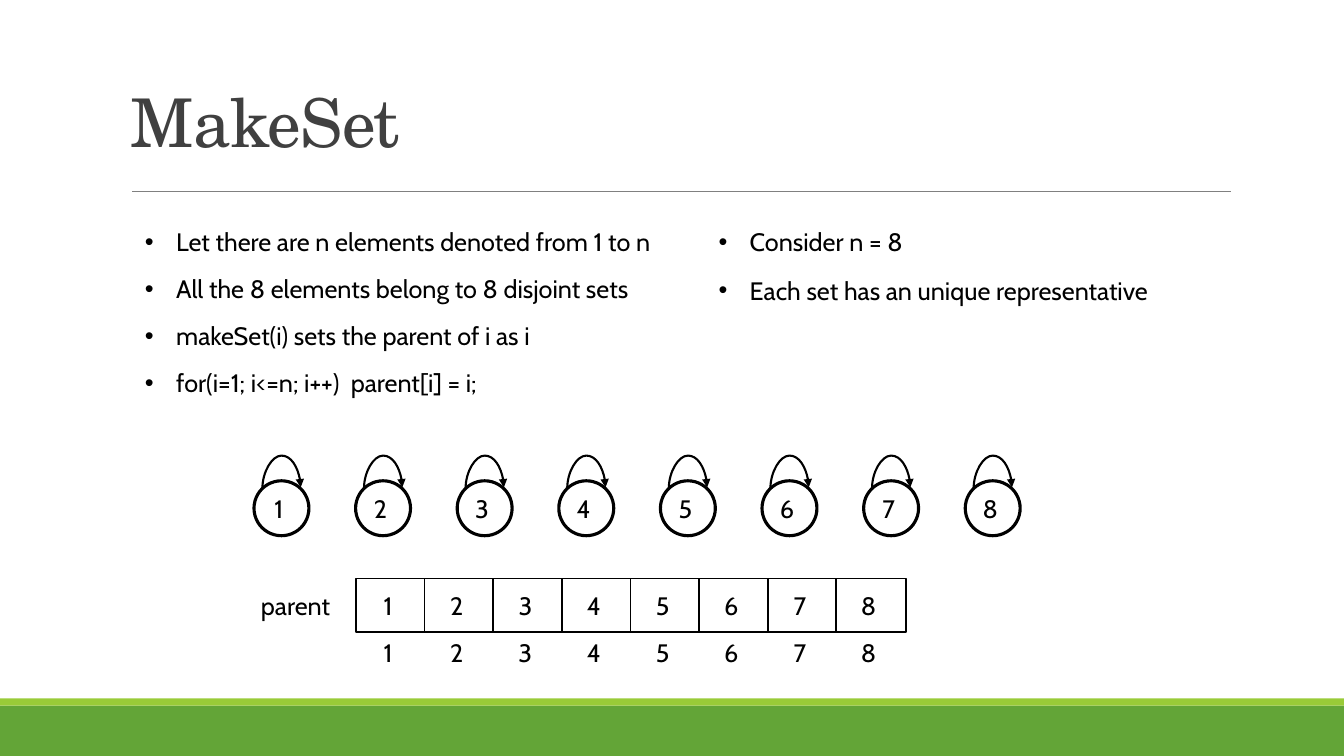
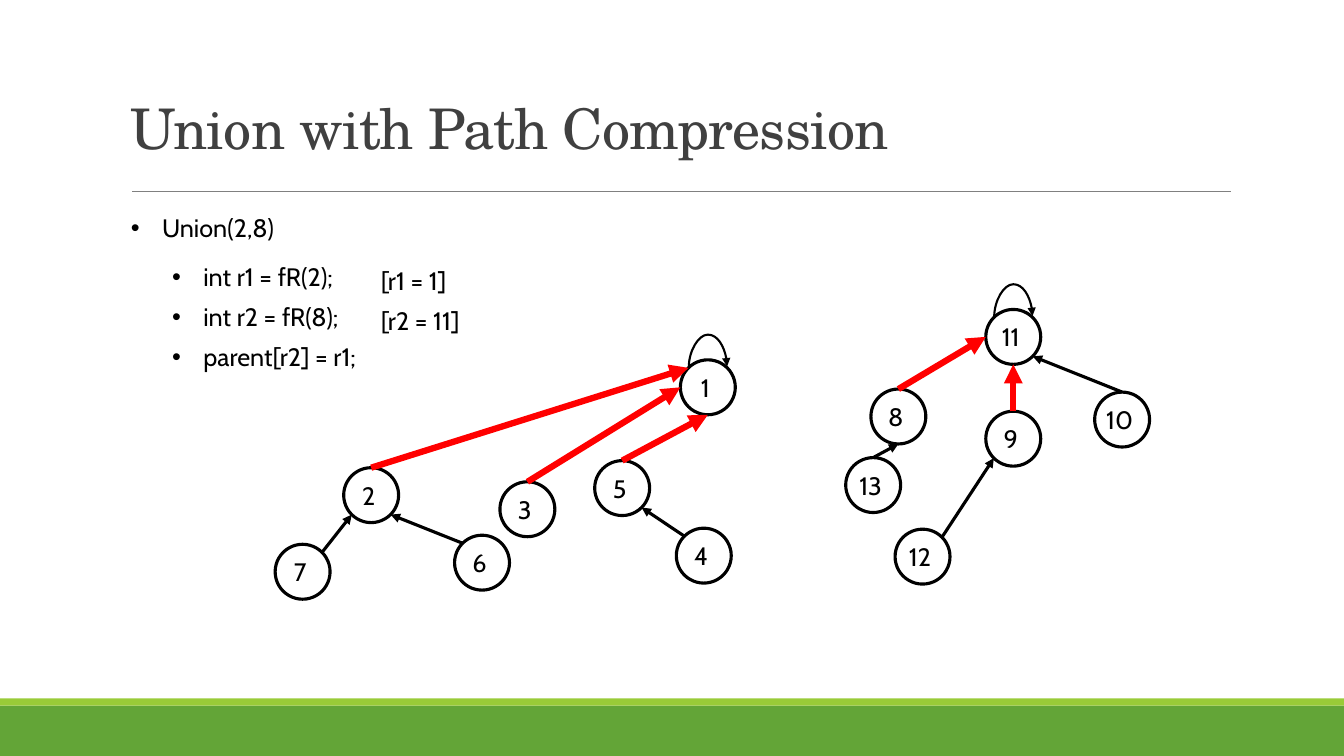
"""Builds two slides on disjoint sets: MakeSet and union with path compression."""
from typing import NamedTuple

from lxml import etree
from pptx import Presentation
from pptx.dml.color import RGBColor
from pptx.enum.shapes import MSO_CONNECTOR, MSO_SHAPE
from pptx.enum.text import MSO_ANCHOR, PP_ALIGN
from pptx.oxml.ns import qn
from pptx.util import Emu, Inches, Pt

RECT, OVAL = MSO_SHAPE.RECTANGLE, MSO_SHAPE.OVAL
STRAIGHT, CURVE = MSO_CONNECTOR.STRAIGHT, MSO_CONNECTOR.CURVE
TOP, MIDDLE, BOTTOM = MSO_ANCHOR.TOP, MSO_ANCHOR.MIDDLE, MSO_ANCHOR.BOTTOM
LEFT, CENTER = PP_ALIGN.LEFT, PP_ALIGN.CENTER

COLORS = {
    "band": "63A537", "stripe": "99CB38", "rule": "808080", "title": "404040",
    "ink": "000000", "paper": "FFFFFF", "compressed": "FF0000",
}
TITLE_FONT, BODY_FONT = "TeX Gyre Schola", "Cabin"

GRID = Inches(0.1)
COLS, ROWS = 133.33, 75
NODE = 5.45
HANG = 3.1
LOOP_WIDTH, LOOP_SKEW, LOOP_DROP, LOOP_RISE = 3.8, 0.1, 0.7, 3.3
DIAGONAL = 0.5 ** 0.5 / 2
SITES = {
    "top": (0.5, 0), "bottom": (0.5, 1), "left": (0, 0.5),
    "top left": (0.5 - DIAGONAL, 0.5 - DIAGONAL),
    "top right": (0.5 + DIAGONAL, 0.5 - DIAGONAL),
    "bottom left": (0.5 - DIAGONAL, 0.5 + DIAGONAL),
    "bottom right": (0.5 + DIAGONAL, 0.5 + DIAGONAL),
}


class Box(NamedTuple):
    """A place on the grid in columns and rows."""
    col: float
    row: float
    cols: float
    rows: float


class Bullet(NamedTuple):
    """A list item with its indent in columns and its gap above in points."""
    text: str
    gap: float = 0
    indent: float = 0


class Node(NamedTuple):
    """A numbered tree node."""
    label: str
    col: float
    row: float

    def site(self, name: str) -> tuple[float, float]:
        """Return the grid point of a named site on the outline."""
        dx, dy = SITES[name]
        return self.col + dx * NODE, self.row + dy * NODE


class Edge(NamedTuple):
    """An arrow from a child to its parent."""
    child: str
    start: str
    parent: str
    end: str
    compressed: bool = False


def grid(n: float) -> Emu:
    """Convert grid units to a length."""
    return Emu(round(n * GRID))


def color(name: str) -> RGBColor:
    """Look up a palette colour."""
    return RGBColor.from_string(COLORS[name])


def write(p, text: str, *, size: float = 18, font: str = BODY_FONT, ink: str = "ink",
          align: PP_ALIGN = LEFT, before: float = 0, line: float = 1, track: int = 0) -> None:
    """Fill a paragraph with one formatted run."""
    p.alignment, p.space_before, p.line_spacing = align, Pt(before), line
    r = p.add_run()
    r.text = text
    r.font.size, r.font.name = Pt(size), font
    r.font.color.rgb = color(ink)
    if track:
        r.font._element.set("spc", str(track))


def frame(s, box: Box, anchor: MSO_ANCHOR = TOP):
    """Add a wrapping text box and return its text frame."""
    tf = s.shapes.add_textbox(*map(grid, box)).text_frame
    tf.word_wrap, tf.vertical_anchor = True, anchor
    return tf


def paragraph(tf, index: int):
    """Return the first paragraph or add another."""
    return tf.add_paragraph() if index else tf.paragraphs[0]


def shape(s, kind: MSO_SHAPE, box: Box, fill: str = "paper", width: float = 0,
          label: str = "") -> None:
    """Add a filled shape with an optional outline and label."""
    sp = s.shapes.add_shape(kind, *map(grid, box))
    sp.shadow.inherit = False
    sp.fill.solid()
    sp.fill.fore_color.rgb = color(fill)
    if width:
        sp.line.color.rgb, sp.line.width = color("ink"), Pt(width)
    else:
        sp.line.fill.background()
    if label:
        tf = sp.text_frame
        tf.word_wrap, tf.vertical_anchor = False, MIDDLE
        tf.margin_left = tf.margin_top = tf.margin_bottom = 0
        tf.margin_right = grid(0.5)
        write(tf.paragraphs[0], label, align=CENTER)


def connect(s, start: tuple[float, float], end: tuple[float, float], *, ink: str = "ink",
            width: float = 2.25, kind: MSO_CONNECTOR = STRAIGHT, arrow: bool = True):
    """Add a line, with an arrowhead at its end if wanted."""
    cx = s.shapes.add_connector(kind, *map(grid, (*start, *end)))
    cx.line.color.rgb, cx.line.width = color(ink), Pt(width)
    if arrow:
        etree.SubElement(cx.line._get_or_add_ln(), qn("a:tailEnd"), type="triangle")
    etree.SubElement(cx._element.spPr, qn("a:effectLst"))
    return cx


def self_loop(s, node: Node) -> None:
    """Draw the curved arrow from a root to itself."""
    x, y = node.col + NODE / 2, node.row + LOOP_DROP
    dx, dy = LOOP_SKEW / 2, LOOP_WIDTH / 2
    cx = connect(s, (x + dx, y + dy), (x - dx, y - dy), width=1.5, kind=CURVE)
    spPr = cx._element.spPr
    spPr.find(qn("a:xfrm")).set("rot", "5400000")
    geom = spPr.find(qn("a:prstGeom"))
    guides = geom.find(qn("a:avLst"))
    if guides is None:
        guides = etree.SubElement(geom, qn("a:avLst"))
    bend = round(LOOP_RISE / LOOP_SKEW * 100000)
    etree.SubElement(guides, qn("a:gd"), name="adj1", fmla=f"val {bend}")


def draw_node(s, node: Node) -> None:
    """Draw a numbered circle."""
    shape(s, OVAL, Box(node.col, node.row, NODE, NODE), width=2.25, label=node.label)


def bullets(s, box: Box, items: list[Bullet]) -> None:
    """Write a bulleted list."""
    tf = frame(s, box)
    for i, item in enumerate(items):
        p = paragraph(tf, i)
        pPr = p._p.get_or_add_pPr()
        pPr.set("marL", str(grid(item.indent + HANG)))
        pPr.set("indent", str(-grid(HANG)))
        etree.SubElement(pPr, qn("a:buFont"), typeface="Arial")
        etree.SubElement(pPr, qn("a:buChar"), char="•")
        write(p, item.text, before=item.gap)


def base_slide(prs, title: str, size: float):
    """Add a slide with the shared bands, rule and title."""
    s = prs.slides.add_slide(prs.slide_layouts[6])
    shape(s, RECT, Box(0, 70, COLS, 5), "band")
    shape(s, RECT, Box(0, 69.3, COLS, 0.7), "stripe")
    connect(s, (13.1, 19), (122.1, 19), ink="rule", width=0.5, arrow=False)
    tf = frame(s, Box(12, 0.6, 110, 15.9), BOTTOM)
    write(tf.paragraphs[0], title, size=size, font=TITLE_FONT, ink="title",
          line=0.85, track=-50)
    return s


def make_set(prs) -> None:
    """Build the MakeSet slide."""
    s = base_slide(prs, "MakeSet", 48)
    bullets(s, Box(13.4, 22, 56, 18), [
        Bullet("Let there are n elements denoted from 1 to n"),
        Bullet("All the 8 elements belong to 8 disjoint sets", 12),
        Bullet("makeSet(i) sets the parent of i as i", 12),
        Bullet("for(i=1; i<=n; i++)  parent[i] = i;", 12),
    ])
    bullets(s, Box(70.3, 22, 47, 9), [
        Bullet("Consider n = 8"),
        Bullet("Each set has an unique representative", 13),
    ])
    tf = frame(s, Box(24.9, 58.1, 9.2, 4))
    write(tf.paragraphs[0], "parent")
    for i in range(8):
        label = str(i + 1)
        node = Node(label, 25.2 + 10.08 * i, 47.7)
        draw_node(s, node)
        self_loop(s, node)
        col = 35.3 + 6.81 * i
        shape(s, RECT, Box(col, 57.4, 6.9, 5.3), width=1.25, label=label)
        tf = frame(s, Box(col, 62.7, 6.4, 4))
        write(tf.paragraphs[0], label, align=CENTER)


def union(prs) -> None:
    """Build the union with path compression slide."""
    s = base_slide(prs, "Union with Path Compression", 40)
    bullets(s, Box(12, 20.6, 26, 17), [
        Bullet("Union(2,8)"),
        Bullet("int r1 = fR(2);", 13.5, 4.1),
        Bullet("int r2 = fR(8);", 7, 4.1),
        Bullet("parent[r2] = r1;", 7, 4.1),
    ])
    tf = frame(s, Box(36.8, 25.8, 12, 8))
    for i, text in enumerate(("[r1 = 1]", "[r2 = 11]")):
        write(paragraph(tf, i), text, before=7 * i)
    nodes = [
        Node("1", 67.5, 35.7), Node("2", 34.1, 46.4), Node("3", 49.6, 47.8),
        Node("4", 67.1, 52.4), Node("5", 59, 45.7), Node("6", 45.1, 53.1),
        Node("7", 27.3, 54), Node("8", 86.4, 38.6), Node("9", 97.8, 40.8),
        Node("10", 108.6, 38.9), Node("11", 97.8, 30.7), Node("12", 88.8, 52.5),
        Node("13", 83.9, 45.4),
    ]
    tree = {node.label: node for node in nodes}
    for node in nodes:
        draw_node(s, node)
    for root in ("1", "11"):
        self_loop(s, tree[root])
    edges = [
        Edge("12", "top right", "9", "bottom left"),
        Edge("4", "top left", "5", "bottom right"),
        Edge("6", "top left", "2", "bottom right"),
        Edge("10", "top", "11", "bottom right"),
        Edge("13", "top", "8", "bottom"),
        Edge("7", "top right", "2", "bottom left"),
        Edge("2", "top", "1", "top left", True),
        Edge("3", "top", "1", "left", True),
        Edge("5", "top", "1", "bottom", True),
        Edge("8", "top", "11", "left", True),
        Edge("9", "top", "11", "bottom", True),
    ]
    for e in edges:
        ink, width = ("compressed", 4.5) if e.compressed else ("ink", 2.25)
        connect(s, tree[e.child].site(e.start), tree[e.parent].site(e.end),
                ink=ink, width=width)


def main() -> None:
    """Build and save the presentation."""
    prs = Presentation()
    prs.slide_width, prs.slide_height = grid(COLS), grid(ROWS)
    make_set(prs)
    union(prs)
    prs.save("out.pptx")


if __name__ == "__main__":
    main()
